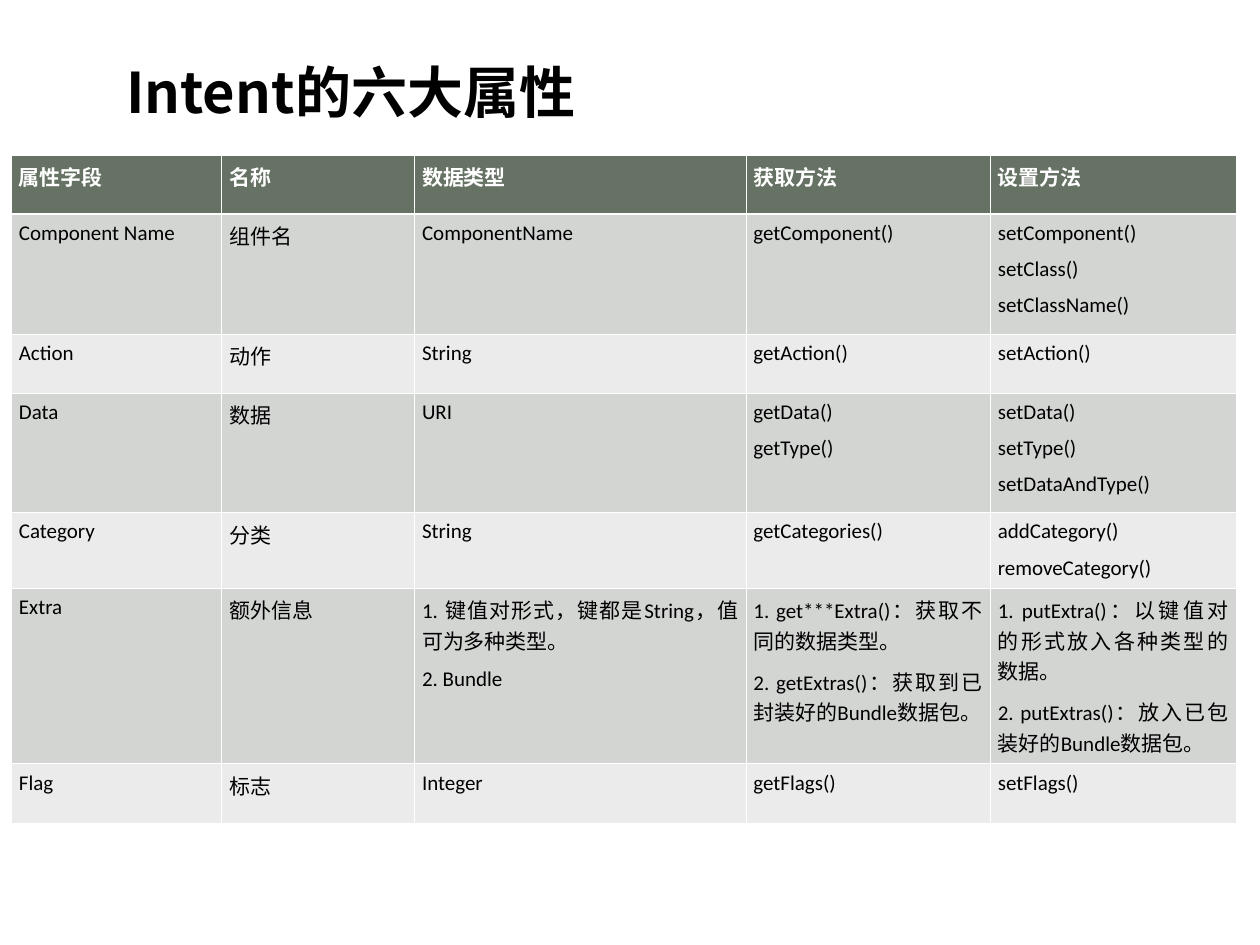
from lxml.etree import SubElement
from pptx import Presentation
from pptx.dml.color import RGBColor
from pptx.enum.text import MSO_ANCHOR, PP_ALIGN
from pptx.oxml.ns import qn
from pptx.util import Inches, Pt

TITLE = "Intent的六大属性"
ROWS = [
    ("属性字段", "名称", "数据类型", "获取方法", "设置方法"),
    ("Component Name", "组件名", "ComponentName", "getComponent()",
     "setComponent()\nsetClass()\nsetClassName()"),
    ("Action", "动作", "String", "getAction()", "setAction()"),
    ("Data", "数据", "URI", "getData()\ngetType()",
     "setData()\nsetType()\nsetDataAndType()"),
    ("Category", "分类", "String", "getCategories()",
     "addCategory()\nremoveCategory()"),
    ("Extra", "额外信息",
     "1. 键值对形式，键都是String，值可为多种类型。\n2. Bundle",
     "1. get***Extra()：获取不同的数据类型。\n2. getExtras()：获取到已封装好的Bundle数据包。",
     "1. putExtra()：以键值对的形式放入各种类型的数据。\n2. putExtras()：放入已包装好的Bundle数据包。"),
    ("Flag", "标志", "Integer", "getFlags()", "setFlags()"),
]
COL_WIDTHS = (1.67, 1.53, 2.63, 1.94, 1.95)
ROW_HEIGHTS = (0.47, 0.95, 0.47, 0.95, 0.6, 1.35, 0.47)

BLACK = RGBColor(0x00, 0x00, 0x00)
WHITE = RGBColor(0xFF, 0xFF, 0xFF)
HEADER = RGBColor(0x66, 0x72, 0x63)
BANDS = (RGBColor(0xEA, 0xEB, 0xEA), RGBColor(0xD3, 0xD5, 0xD3))
CJK = "Noto Sans CJK SC"
THIN, THICK = Pt(0.45), Pt(1.47)


def write(tf, text, size, color, font, bold=False, align=PP_ALIGN.LEFT, space=0):
    for i, line in enumerate(text.split("\n")):
        p = tf.paragraphs[0] if i == 0 else tf.add_paragraph()
        p.alignment = align
        p.space_before = p.space_after = Pt(space)
        p._p.get_or_add_pPr().set("hangingPunct", "0")
        r = p.add_run()
        r.text = line
        r.font.size = Pt(size)
        r.font.bold = bold
        r.font.name = font
        r.font.color.rgb = color
        SubElement(r.font._element, qn("a:ea"), typeface=CJK)


def set_borders(cell, top, bottom):
    tcPr = cell._tc.get_or_add_tcPr()
    sides = (("L", THIN), ("R", THIN), ("T", top), ("B", bottom))
    for i, (side, width) in enumerate(sides):
        ln = SubElement(tcPr, qn(f"a:ln{side}"), w=str(int(width)))
        fill = SubElement(ln, qn("a:solidFill"))
        SubElement(fill, qn("a:srgbClr"), val=str(WHITE))
        tcPr.insert(i, ln)


prs = Presentation()
prs.slide_width, prs.slide_height = Inches(10), Inches(7.5)
s = prs.slides.add_slide(prs.slide_layouts[5])

title = s.shapes.title
title.left, title.top = Inches(1), Inches(0.25)
title.width, title.height = Inches(8.29), Inches(0.94)
tf = title.text_frame
tf.margin_left = tf.margin_right = tf.margin_top = tf.margin_bottom = 0
tf.vertical_anchor = MSO_ANCHOR.MIDDLE
write(tf, TITLE, 32, BLACK, CJK, bold=True)

table = s.shapes.add_table(
    len(ROWS), len(COL_WIDTHS), Inches(0.09), Inches(1.23),
    Inches(sum(COL_WIDTHS)), Inches(sum(ROW_HEIGHTS))).table
for col, width in zip(table.columns, COL_WIDTHS):
    col.width = Inches(width)
for row, height in zip(table.rows, ROW_HEIGHTS):
    row.height = Inches(height)

for i, texts in enumerate(ROWS):
    is_header = i == 0
    for j, text in enumerate(texts):
        cell = table.cell(i, j)
        cell.margin_left = cell.margin_right = Inches(0.06)
        cell.margin_top = cell.margin_bottom = Inches(0.05)
        cell.fill.solid()
        cell.fill.fore_color.rgb = HEADER if is_header else BANDS[i % 2]
        set_borders(cell, THICK if i == 1 else THIN, THICK if is_header else THIN)
        write(cell.text_frame, text, 12, WHITE if is_header else BLACK, "Calibri",
              bold=is_header, align=PP_ALIGN.JUSTIFY, space=3)

prs.save("out.pptx")
